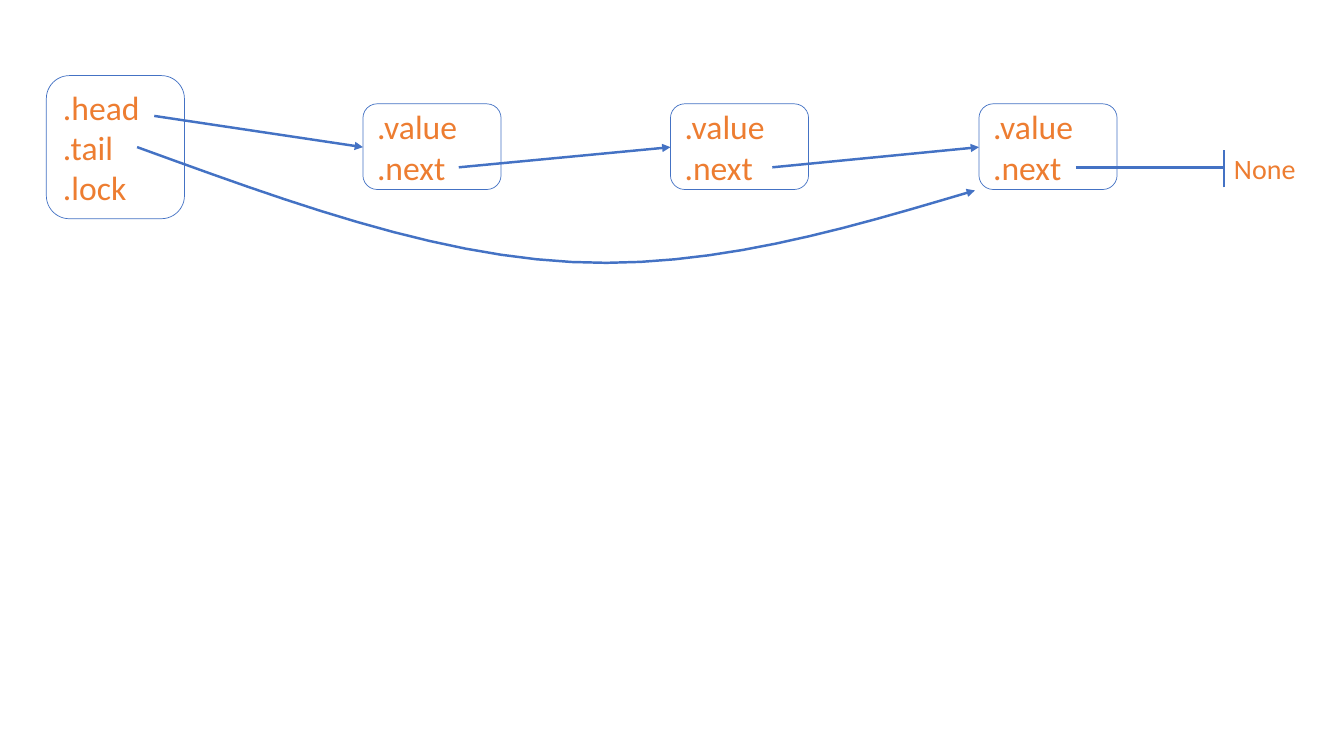
from dataclasses import dataclass

from lxml.etree import SubElement
from pptx import Presentation
from pptx.dml.color import RGBColor
from pptx.enum.shapes import MSO_CONNECTOR as Connector, MSO_SHAPE as Shape
from pptx.enum.text import MSO_ANCHOR as Anchor, MSO_AUTO_SIZE as AutoSize, PP_ALIGN as Align
from pptx.oxml.ns import qn
from pptx.util import Inches, Pt


@dataclass(frozen=True)
class Theme:
    ink: RGBColor = RGBColor(0xED, 0x7D, 0x31)
    stroke: RGBColor = RGBColor(0x44, 0x72, 0xC4)
    font: str = "Calibri"
    field_size: float = 24
    none_size: float = 20
    outline: float = 0.5
    link: float = 1.75


@dataclass(frozen=True)
class Box:
    left: float
    top: float
    width: float
    height: float

    def at(self, dx, dy):
        return self.left + dx, self.top + dy

    def emu(self):
        return [Inches(v) for v in (self.left, self.top, self.width, self.height)]


THEME = Theme()
QUEUE = Box(0.46, 0.75, 1.37, 1.42)
NODES = [Box(left, 1.03, 1.37, 0.85) for left in (3.6, 6.65, 9.71)]
NEXT_OFFSETS = (0.95, 1.01, 0.96)
NEXT_Y, ENTRY_Y = 0.63, 0.43
NONE_BOX = Box(12.14, 1.45, 0.82, 0.44)


def apply(target, formats):
    for name, value in formats.items():
        setattr(target, name, value)


def write_lines(frame, lines, size):
    frame.text = "\n".join(lines)
    for paragraph in frame.paragraphs:
        paragraph.alignment = Align.LEFT
        apply(paragraph.runs[0].font, {"name": THEME.font, "size": Pt(size)})
        paragraph.runs[0].font.color.rgb = THEME.ink


def style_link(link, arrow):
    link.line.color.rgb = THEME.stroke
    link.line.width = Pt(THEME.link)
    if arrow:
        SubElement(link.line._get_or_add_ln(), qn("a:tailEnd"), type="triangle")


def draw_record(slide, box, fields):
    record = slide.shapes.add_shape(Shape.ROUNDED_RECTANGLE, *box.emu())
    record.shadow.inherit = False
    record.fill.background()
    record.line.color.rgb = THEME.stroke
    record.line.width = Pt(THEME.outline)
    apply(record.text_frame, {"vertical_anchor": Anchor.MIDDLE, "word_wrap": True})
    write_lines(record.text_frame, fields, THEME.field_size)


def draw_link(slide, start, end, arrow=True):
    ends = [Inches(v) for v in (*start, *end)]
    link = slide.shapes.add_connector(Connector.STRAIGHT, *ends)
    style_link(link, arrow)
    SubElement(link._element.spPr, qn("a:effectLst"))


def bezier(points, steps=12):
    for step in range(1, steps + 1):
        t = step / steps
        weights = ((1 - t) ** 3, 3 * t * (1 - t) ** 2, 3 * t * t * (1 - t), t ** 3)
        yield tuple(Inches(sum(w * p[axis] for w, p in zip(weights, points)))
                    for axis in (0, 1))


def draw_tail_curve(slide, queue, last):
    start = queue.at(0.9, 0.71)
    end = last.at(-0.04, 0.86)
    bottom = (5.67, 2.6)
    descent = (start, (2.82, 1.99), (4.28, 2.53), bottom)
    ascent = (bottom, (7.05, 2.67), (8.36, 2.28), end)
    builder = slide.shapes.build_freeform(Inches(start[0]), Inches(start[1]))
    builder.add_line_segments([*bezier(descent), *bezier(ascent)], close=False)
    curve = builder.convert_to_shape()
    curve.shadow.inherit = False
    curve.fill.background()
    style_link(curve, arrow=True)


def draw_none(slide, box, source):
    draw_link(slide, source, (box.left, source[1]), arrow=False)
    draw_link(slide, box.at(0, 0.41), box.at(0, 0.04), arrow=False)
    label = slide.shapes.add_textbox(*box.emu()).text_frame
    apply(label, {"word_wrap": False, "auto_size": AutoSize.SHAPE_TO_FIT_TEXT})
    write_lines(label, ["None"], THEME.none_size)


def draw_linked_queue(slide, queue, nodes, none_box):
    draw_record(slide, queue, [".head", ".tail", ".lock"])
    for node in nodes:
        draw_record(slide, node, [".value", ".next"])
    next_fields = [node.at(dx, NEXT_Y) for node, dx in zip(nodes, NEXT_OFFSETS)]
    sources = [queue.at(1.07, 0.4), *next_fields[:-1]]
    for source, node in zip(sources, nodes):
        draw_link(slide, source, node.at(0, ENTRY_Y))
    draw_none(slide, none_box, next_fields[-1])
    draw_tail_curve(slide, queue, nodes[-1])


def main():
    deck = Presentation()
    apply(deck, {"slide_width": Inches(13.33), "slide_height": Inches(7.5)})
    slide = deck.slides.add_slide(deck.slide_layouts[6])
    draw_linked_queue(slide, QUEUE, NODES, NONE_BOX)
    deck.save("out.pptx")


if __name__ == "__main__":
    main()
